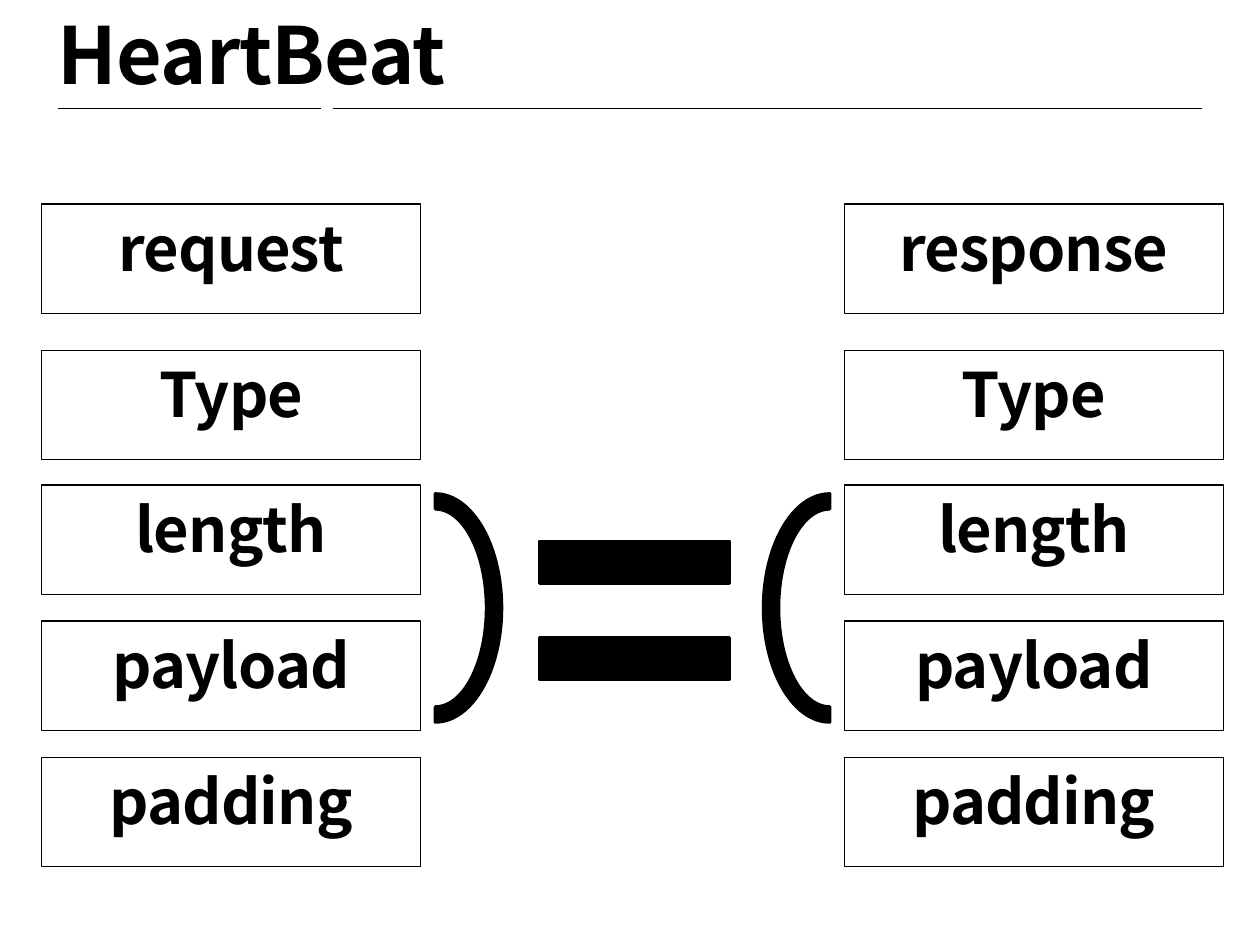
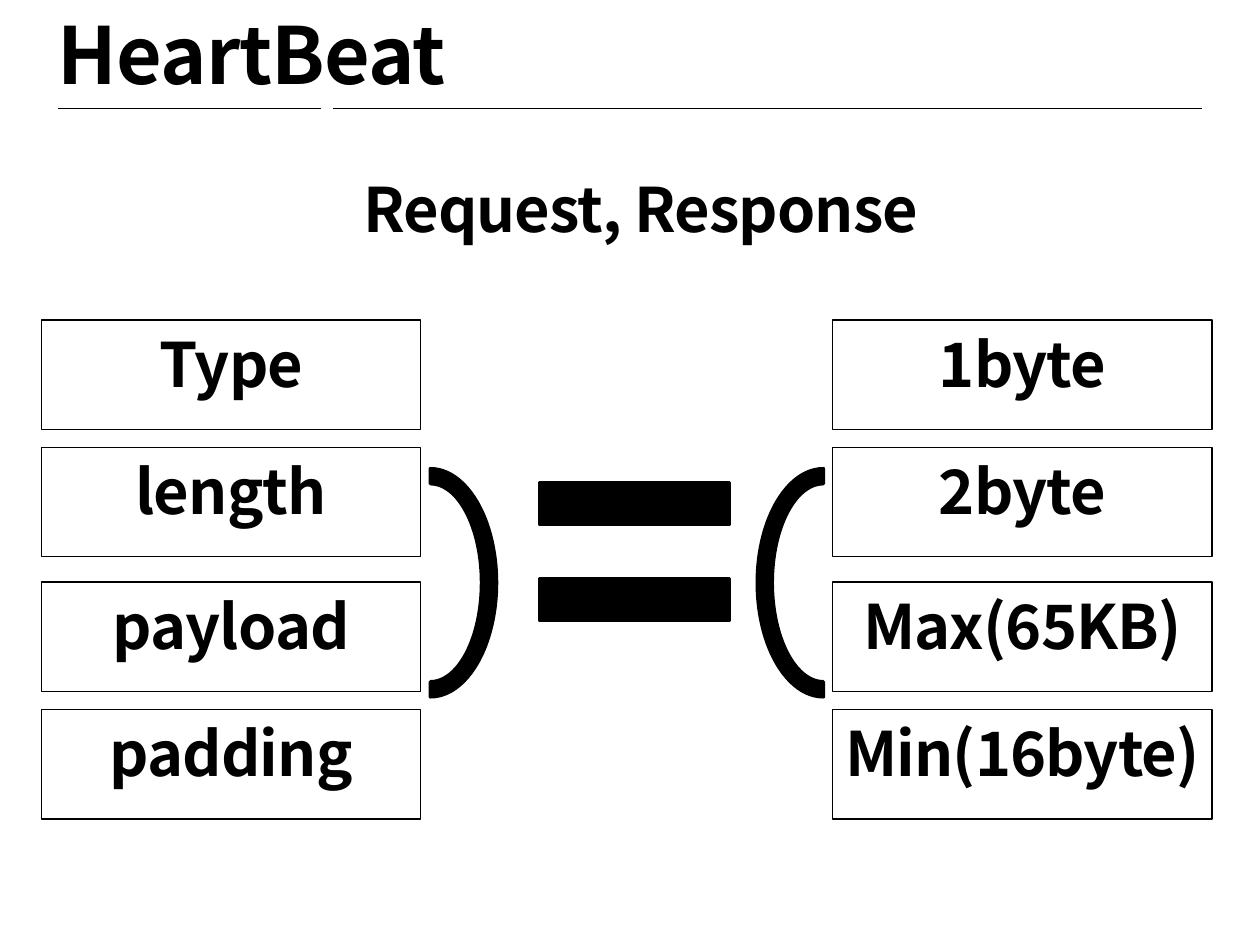
from lxml import etree
from pptx import Presentation
from pptx import util as u
from pptx.dml.color import RGBColor
from pptx.enum import shapes, text
from pptx.oxml.ns import qn

INK = {"black": "000000", "white": "FFFFFF"}
FONT = "Noto Sans CJK KR"
BOX_W, BOX_H = 3.01, 0.87
KIND = shapes.MSO_SHAPE

SLIDES = [
    {
        "head": None,
        "rows": [1.62, 2.78, 3.85, 4.93, 6.01],
        "cols": [
            (0.33, ["request", "Type", "length", "payload", "padding"]),
            (6.7, ["response", "Type", "length", "payload", "padding"]),
        ],
        "bars": 4.3,
        "arcs": (2.55, 5.68, 4.3),
    },
    {
        "head": "Request, Response",
        "rows": [2.54, 3.55, 4.62, 5.63],
        "cols": [
            (0.33, ["Type", "length", "payload", "padding"]),
            (6.61, ["1byte", "2byte", "Max(65KB)", "Min(16byte)"]),
        ],
        "bars": 3.83,
        "arcs": (2.51, 5.63, 4.1),
    },
]


def label(slide, words, place, size=35, edge="black",
          align=text.PP_ALIGN.CENTER, pad=0.03):
    """Add an unfilled box with one line of bold text."""
    box = slide.shapes.add_shape(KIND.RECTANGLE, *map(u.Inches, place))
    box.shadow.inherit = False
    box.fill.background()
    box.line.color.rgb = RGBColor.from_string(INK[edge])
    box.line.width = u.Pt(0.75)
    frame = box.text_frame
    frame.text = words
    frame.word_wrap = True
    frame.margin_left = frame.margin_right = u.Inches(pad)
    frame.vertical_anchor = text.MSO_ANCHOR.TOP
    para = frame.paragraphs[0]
    para.alignment = align
    run = para.runs[0]
    run.font.size = u.Pt(size)
    run.font.bold = True
    run.font.name = FONT
    run.font.color.rgb = RGBColor.from_string(INK["black"])
    props = run.font._element
    props.set("spc", "-50")
    east = etree.SubElement(props, qn("a:ea"))
    east.set("typeface", FONT)


def solid(slide, kind, place):
    """Add a black shape with a heavy black edge."""
    shape = slide.shapes.add_shape(kind, *map(u.Inches, place))
    shape.shadow.inherit = False
    shape.fill.solid()
    shape.fill.fore_color.rgb = RGBColor.from_string(INK["black"])
    shape.line.color.rgb = RGBColor.from_string(INK["black"])
    shape.line.width = u.Pt(2)
    return shape


deck = Presentation()
deck.slide_width, deck.slide_height = u.Inches(10), u.Inches(7.5)

for page in SLIDES:
    slide = deck.slides.add_slide(deck.slide_layouts[6])

    # Title over a split rule
    for left, right in [(0.46, 2.55), (2.64, 9.54)]:
        rule = slide.shapes.add_connector(
            shapes.MSO_CONNECTOR.STRAIGHT,
            u.Inches(left), u.Inches(0.86), u.Inches(right), u.Inches(0.86))
        rule.line.color.rgb = RGBColor.from_string(INK["black"])
        rule.line.width = u.Pt(0.25)
        etree.SubElement(rule._element.spPr, qn("a:effectLst"))
    label(slide, "HeartBeat", (0.35, 0, 7.87, 0.7), 45, "white",
          text.PP_ALIGN.LEFT, 0.11)
    if page["head"]:
        label(slide, page["head"], (2.65, 1.31, 4.87, BOX_H), edge="white")

    # Message fields, one column a side
    for left, fields in page["cols"]:
        for top, field in zip(page["rows"], fields):
            label(slide, field, (left, top, BOX_W, BOX_H))

    # Equals sign between two brackets
    for step in range(2):
        solid(slide, KIND.RECTANGLE, (4.28, page["bars"] + step * 0.76, 1.51, 0.33))
    *sides, top = page["arcs"]
    for left, turn in zip(sides, (90, 270)):
        arc = solid(slide, KIND.BLOCK_ARC, (left, top, 1.81, 1.05))
        arc.rotation = turn
        for i, value in enumerate((108, 0, 0.113)):
            arc.adjustments[i] = value
        if turn == 270:
            arc._element.spPr.xfrm.set("flipH", "1")

deck.save("out.pptx")
